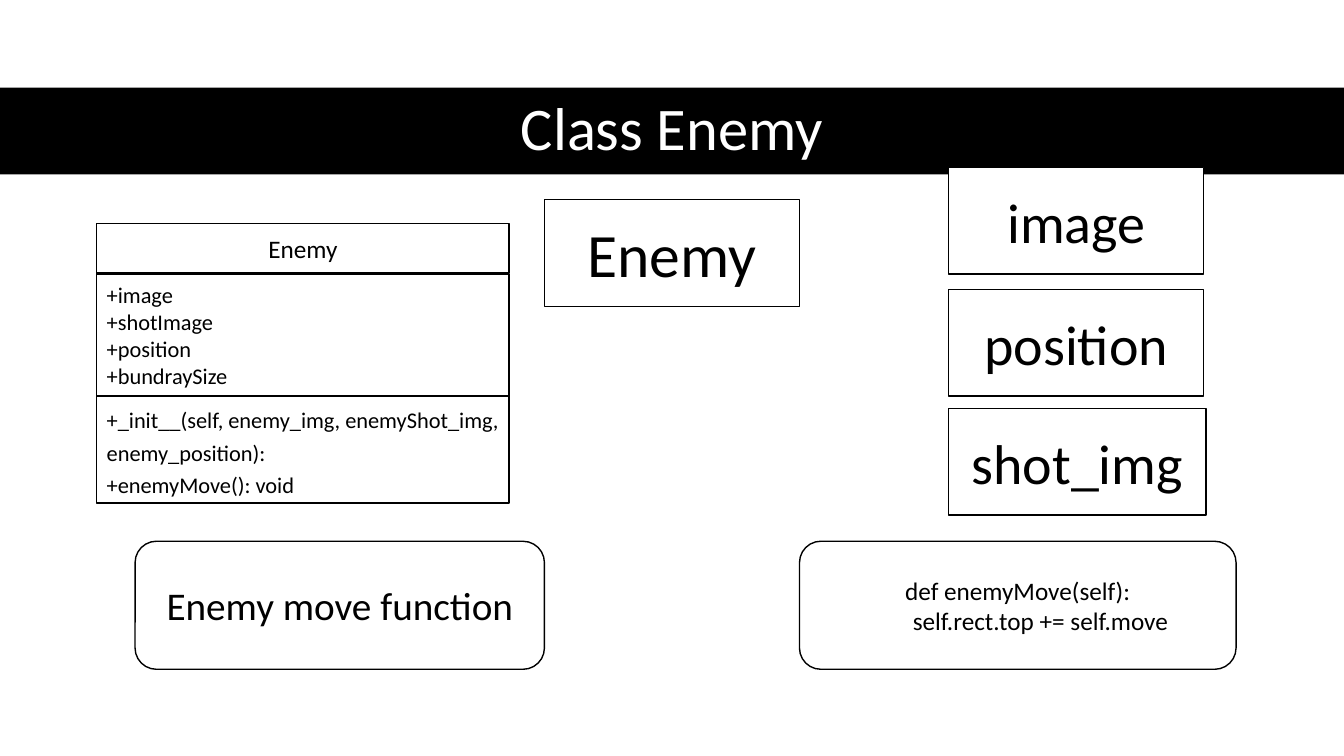
"""Build the Class Enemy slide with its class diagram, attributes and move function."""

from dataclasses import dataclass

from pptx import Presentation
from pptx.dml.color import RGBColor
from pptx.enum.shapes import MSO_SHAPE
from pptx.enum.text import MSO_ANCHOR, PP_ALIGN
from pptx.slide import Slide
from pptx.util import Inches, Pt

COLORS = {"black": "000000", "white": "FFFFFF"}
FONT = "Calibri"
SLIDE_WIDTH, SLIDE_HEIGHT = 13.33, 7.5
ATTRIBUTE_LEFT, ATTRIBUTE_WIDTH, ATTRIBUTE_HEIGHT = 9.41, 2.53, 1.06
CLASS_LEFT, CLASS_WIDTH = 0.96, 4.09
FUNCTION_TOP, FUNCTION_HEIGHT = 5.37, 1.27


@dataclass(frozen=True)
class Box:
    left: float
    top: float
    width: float
    height: float
    lines: tuple[str, ...]
    size: float
    alignment: PP_ALIGN = PP_ALIGN.CENTER
    spacing: float = 1.0
    preset: MSO_SHAPE = MSO_SHAPE.RECTANGLE
    fill: str = "white"
    ink: str = "black"
    outlined: bool = True
    body_indent: float = 0


def attribute_box(top: float, name: str, width: float = ATTRIBUTE_WIDTH) -> Box:
    return Box(ATTRIBUTE_LEFT, top, width, ATTRIBUTE_HEIGHT, (name,), 40)


def class_box(top: float, height: float, lines: tuple[str, ...], spacing: float = 1.0) -> Box:
    return Box(CLASS_LEFT, top, CLASS_WIDTH, height, lines, 16, PP_ALIGN.LEFT, spacing)


def function_box(left: float, width: float, lines: tuple[str, ...], size: float,
                 body_indent: float = 0) -> Box:
    return Box(left, FUNCTION_TOP, width, FUNCTION_HEIGHT, lines, size,
               preset=MSO_SHAPE.ROUNDED_RECTANGLE, body_indent=body_indent)


BOXES = (
    Box(0, 0.87, SLIDE_WIDTH, 0.86, ("Class Enemy",), 43.2, spacing=0.9,
        fill="black", ink="white", outlined=False),
    attribute_box(1.66, "image"),
    attribute_box(2.87, "position"),
    attribute_box(4.05, "shot_img", 2.55),
    Box(5.4, 1.98, ATTRIBUTE_WIDTH, ATTRIBUTE_HEIGHT, ("Enemy",), 44),
    function_box(7.93, 4.33, ("def enemyMove(self):", "self.rect.top += self.move"), 18, 0.45),
    function_box(1.34, 4.06, ("Enemy move function",), 28),
    Box(CLASS_LEFT, 2.22, CLASS_WIDTH, 0.49, ("Enemy",), 18),
    class_box(3.93, 1.06, ("+_init__(self, enemy_img, enemyShot_img, enemy_position):",
                           "+enemyMove(): void"), 1.2),
    class_box(2.72, 1.21, ("+image", "+shotImage", "+position", "+bundraySize")),
)


def color(name: str) -> RGBColor:
    return RGBColor.from_string(COLORS[name])


def apply_format(target: object, values: dict[str, object]) -> None:
    for name, value in values.items():
        setattr(target, name, value)


def draw_box(slide: Slide, box: Box) -> None:
    shape = slide.shapes.add_shape(box.preset, Inches(box.left), Inches(box.top),
                                   Inches(box.width), Inches(box.height))
    shape.shadow.inherit = False
    shape.fill.solid()
    shape.fill.fore_color.rgb = color(box.fill)
    if box.outlined:
        shape.line.color.rgb = color("black")
        shape.line.width = Pt(1)
    else:
        shape.line.fill.background()

    text_frame = shape.text_frame
    apply_format(text_frame, {"word_wrap": True, "vertical_anchor": MSO_ANCHOR.MIDDLE})
    text_frame.text = "\n".join(box.lines)
    for index, paragraph in enumerate(text_frame.paragraphs):
        apply_format(paragraph, {"alignment": box.alignment, "line_spacing": box.spacing})
        apply_format(paragraph.runs[0].font, {"name": FONT, "size": Pt(box.size)})
        paragraph.runs[0].font.color.rgb = color(box.ink)
        if index and box.body_indent:
            paragraph._p.get_or_add_pPr().set("marL", str(Inches(box.body_indent)))


def main() -> None:
    presentation = Presentation()
    apply_format(presentation, {"slide_width": Inches(SLIDE_WIDTH),
                                "slide_height": Inches(SLIDE_HEIGHT)})
    slide = presentation.slides.add_slide(presentation.slide_layouts[6])
    for box in BOXES:
        draw_box(slide, box)
    presentation.save("out.pptx")


if __name__ == "__main__":
    main()
